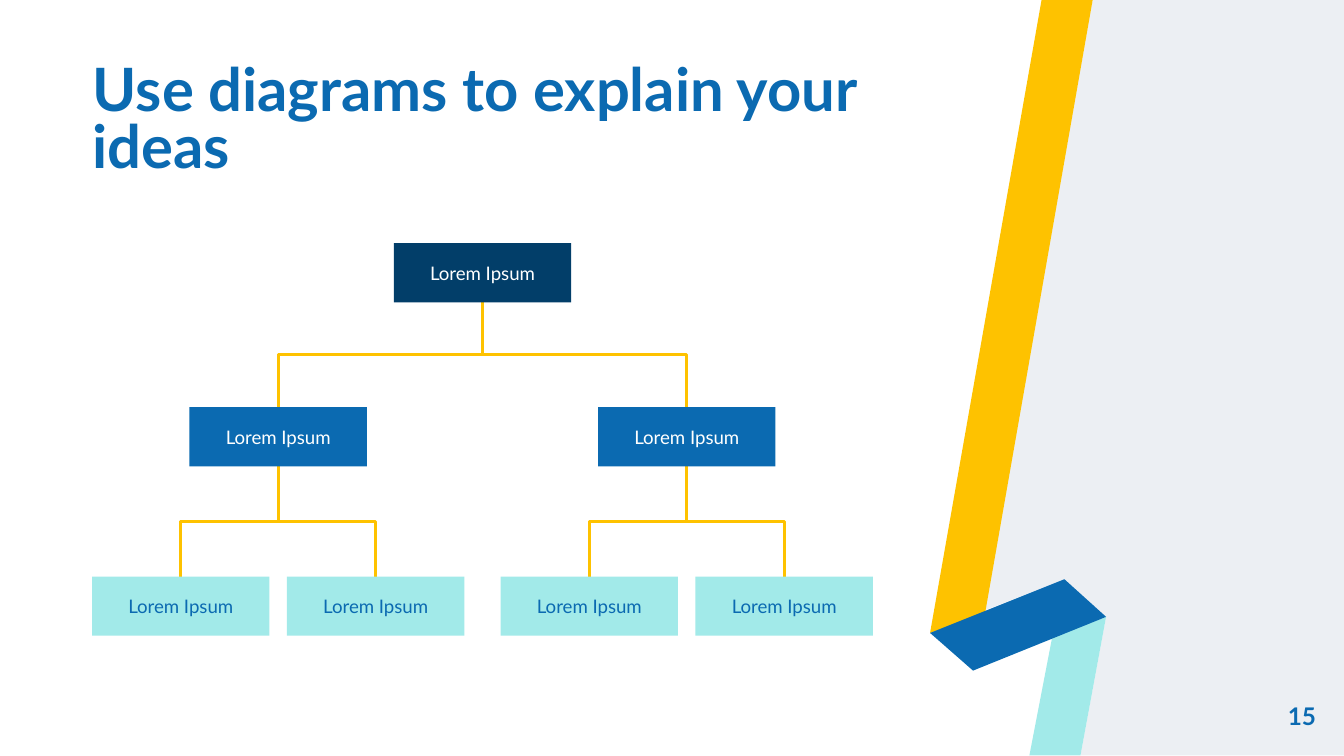
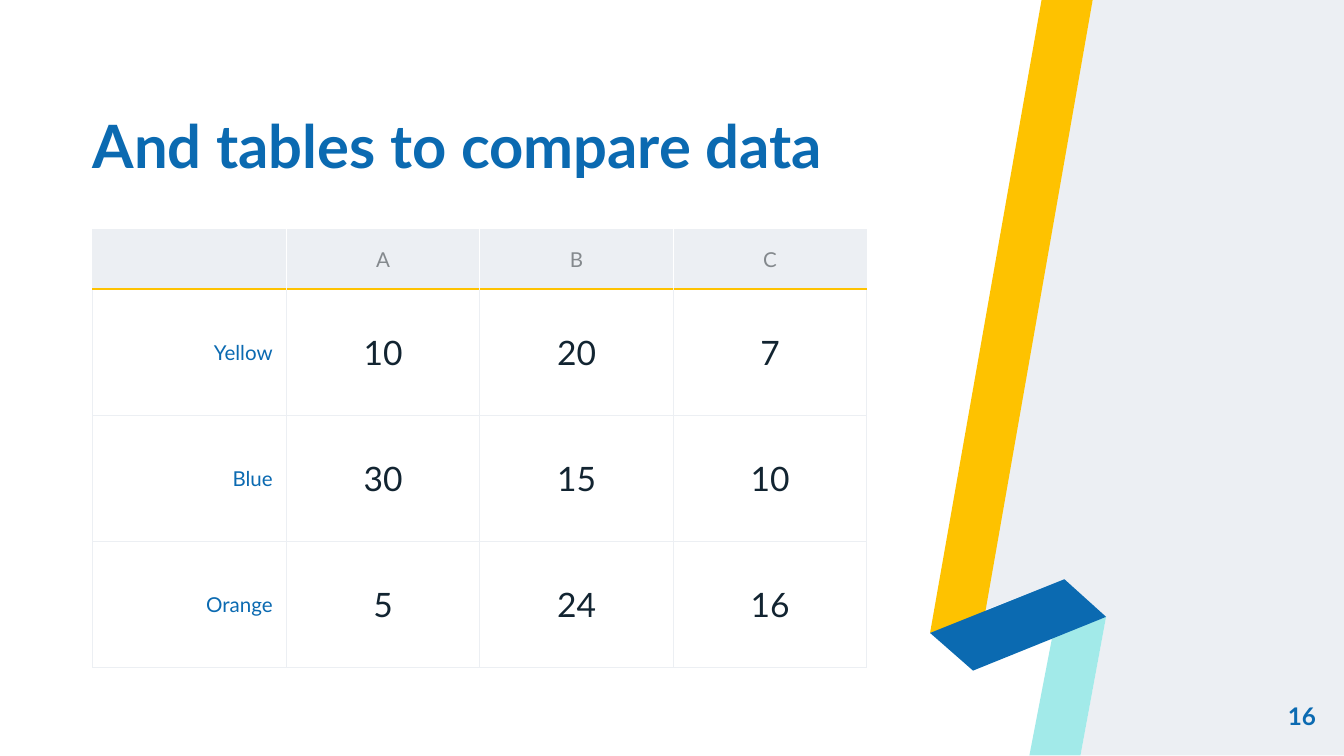
"""Build a diagram slide and a table slide that share a folded ribbon."""
from lxml.etree import SubElement
from pptx import Presentation
from pptx.enum.shapes import MSO_CONNECTOR, MSO_SHAPE
from pptx.enum.text import MSO_ANCHOR, PP_ALIGN
from pptx.dml.color import RGBColor
from pptx.oxml.ns import qn
from pptx.util import Inches, Pt

NAVY, BLUE, AQUA, YELLOW = "023E69", "0B6AB1", "A2EAE9", "FEC200"
PALE, GREY, INK, WHITE = "ECEFF3", "84898D", "122431", "FFFFFF"
LEFT = 0.69
MARGINS = ("margin_left", "margin_top", "margin_right", "margin_bottom")


def paint(fill, color):
    fill.solid()
    fill.fore_color.rgb = RGBColor.from_string(color)


def write(frame, text, size, color, align=PP_ALIGN.LEFT, bold=False, spacing=1.0):
    para = frame.paragraphs[0]
    for name, value in {"alignment": align, "line_spacing": spacing}.items():
        setattr(para, name, value)
    span = para.add_run()
    span.text = text
    for name, value in {"name": "Lato", "size": Pt(size), "bold": bold}.items():
        setattr(span.font, name, value)
    paint(span.font.fill, color)


deck = Presentation()
deck.slide_width = Inches(10)
deck.slide_height = Inches(10) * 9 // 16

ribbon = [
    (PALE, [(8.13, 0), (7.33, 4.54), (7.92, 4.31), (8.23, 4.59), (8.04, 5.62), (10, 5.62), (10, 0)]),
    (YELLOW, [(7.75, 0), (8.13, 0), (7.33, 4.56), (6.92, 4.71)]),
    (AQUA, [(7.66, 5.62), (7.83, 4.74), (8.23, 4.59), (8.04, 5.62)]),
    (BLUE, [(6.92, 4.71), (7.92, 4.31), (8.23, 4.59), (7.24, 4.99)]),
]
titles = ["Use diagrams to explain your ideas", "And tables to compare data"]
pages = []
solids = []
for number, title in enumerate(titles, 15):
    page = deck.slides.add_slide(deck.slide_layouts[6])
    pages.append(page)
    for color, corners in ribbon:
        points = [(Inches(x), Inches(y)) for x, y in corners]
        builder = page.shapes.build_freeform(*points[0])
        builder.add_line_segments(points[1:], close=True)
        solids.append((builder.convert_to_shape(), color))
    labels = [
        ((LEFT, 0.91, 5.77, 0.43), MSO_ANCHOR.BOTTOM, (title, 32, BLUE, PP_ALIGN.LEFT, True, 0.8)),
        ((9.19, 5.11, 0.6, 0.43), MSO_ANCHOR.MIDDLE, (str(number), 13, BLUE, PP_ALIGN.RIGHT, True)),
    ]
    for place, anchor, content in labels:
        frame = page.shapes.add_textbox(*map(Inches, place)).text_frame
        layout = {"word_wrap": True, "vertical_anchor": anchor, **dict.fromkeys(MARGINS, 0)}
        for name, value in layout.items():
            setattr(frame, name, value)
        write(frame, *content)

diagram_page, table_page = pages

box_width, box_height = 1.32, 0.44
root, branch_reach, leaf_reach = 3.59, 1.52, 1.45 / 2
branches = [root - branch_reach, root + branch_reach]
leaves = [branch + side * leaf_reach for branch in branches for side in (-1, 1)]
levels = [
    (1.81, [root], NAVY, WHITE),
    (3.03, branches, BLUE, WHITE),
    (4.29, leaves, AQUA, BLUE),
]

for (upper_top, parents, *_), (lower_top, children, *_) in zip(levels, levels[1:]):
    start = upper_top + box_height
    drop, middle_y = lower_top - start, (start + lower_top) / 2
    for index, child in enumerate(children):
        parent = parents[index // 2]
        reach, middle_x = abs(child - parent), (child + parent) / 2
        half = drop / 2 if child > parent else -drop / 2
        ends = (middle_x + half, middle_y - reach / 2, middle_x - half, middle_y + reach / 2)
        link = diagram_page.shapes.add_connector(MSO_CONNECTOR.ELBOW, *map(Inches, ends))
        properties = link._element.spPr
        properties.find(qn("a:xfrm")).set("rot", str(270 * 60000))
        paint(link.line.fill, YELLOW)
        link.line.width = Pt(1.5)
        SubElement(properties, qn("a:effectLst"))

for top, centers, color, text_color in levels:
    for center in centers:
        place = (center - box_width / 2, top, box_width, box_height)
        box = diagram_page.shapes.add_shape(MSO_SHAPE.RECTANGLE, *map(Inches, place))
        solids.append((box, color))
        layout = {"vertical_anchor": MSO_ANCHOR.MIDDLE, **dict.fromkeys(MARGINS, Inches(0.1))}
        for name, value in layout.items():
            setattr(box.text_frame, name, value)
        write(box.text_frame, "Lorem Ipsum", 10, text_color, PP_ALIGN.CENTER)

for shape, color in solids:
    paint(shape.fill, color)
    shape.line.fill.background()
    shape.shadow.inherit = False

rows = [
    ["", "A", "B", "C"],
    ["Yellow", "10", "20", "7"],
    ["Blue", "30", "15", "10"],
    ["Orange", "5", "24", "16"],
]
heights = [0.44] + [0.94] * 3
place = (LEFT, 1.71, 5.76, sum(heights))
table = table_page.shapes.add_table(4, 4, *map(Inches, place)).table
table.first_row = table.horz_banding = False
for column in table.columns:
    column.width = Inches(1.44)
cell_layout = {
    "vertical_anchor": MSO_ANCHOR.MIDDLE,
    **dict(zip(MARGINS, map(Inches, (0.1, 0.07, 0.1, 0.07)))),
}
for row, texts in enumerate(rows):
    table.rows[row].height = Inches(heights[row])
    for column, text in enumerate(texts):
        cell = table.cell(row, column)
        for name, value in cell_layout.items():
            setattr(cell, name, value)
        if row == 0:
            write(cell.text_frame, text, 11, GREY, PP_ALIGN.CENTER)
        elif column == 0:
            write(cell.text_frame, text, 11, BLUE, PP_ALIGN.RIGHT)
        else:
            write(cell.text_frame, text, 18, INK, PP_ALIGN.CENTER)
        borders = {
            "a:lnL": (WHITE if row == 0 and column > 0 else PALE, 0.75),
            "a:lnR": (WHITE if row == 0 and column < 3 else PALE, 0.75),
            "a:lnT": (YELLOW, 1.5) if row == 1 else (PALE, 0.75),
            "a:lnB": (YELLOW, 1.5) if row == 0 else (PALE, 0.75),
        }
        properties = cell._tc.get_or_add_tcPr()
        for tag, (color, width) in borders.items():
            edge = SubElement(properties, qn(tag), w=str(Pt(width)))
            SubElement(SubElement(edge, qn("a:solidFill")), qn("a:srgbClr"), val=color)
        if row == 0:
            paint(cell.fill, PALE)
        else:
            cell.fill.background()

deck.save("out.pptx")
